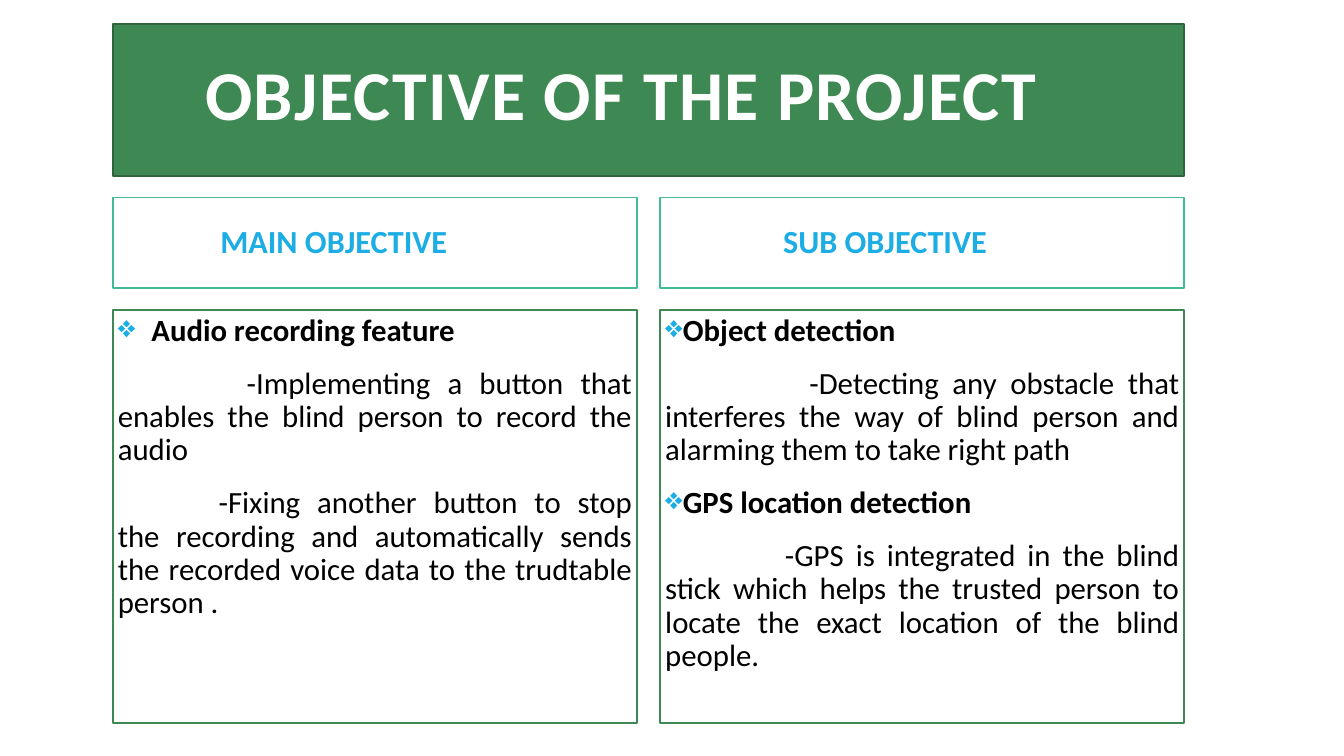
from dataclasses import dataclass

from lxml import etree
from pptx import Presentation
from pptx import util as u
from pptx.dml import color
from pptx.enum import shapes, text
from pptx.oxml import ns


@dataclass(frozen=True)
class Theme:
    font: str = "Calibri"
    green: str = "3E8853"
    dark_green: str = "2E653D"
    teal: str = "42BA97"
    blue: str = "1CADE4"
    white: str = "FFFFFF"
    black: str = "000000"
    title_size: float = 50
    heading_size: float = 23
    body_size: float = 22
    line_width: float = 1.25


class ObjectiveSlide:
    def __init__(self, slide, theme):
        self.slide = slide
        self.theme = theme

    def panel(self, box, fill, line, insets, anchor):
        panel = self.slide.shapes.add_shape(
            shapes.MSO_SHAPE.RECTANGLE, *(u.Pt(length) for length in box))
        panel.shadow.inherit = False
        panel.fill.solid()
        panel.fill.fore_color.rgb = color.RGBColor.from_string(fill)
        panel.line.color.rgb = color.RGBColor.from_string(line)
        panel.line.width = u.Pt(self.theme.line_width)
        side, edge = insets
        frame = panel.text_frame
        frame_format = {
            "word_wrap": True, "vertical_anchor": anchor,
            "margin_left": u.Pt(side), "margin_right": u.Pt(side),
            "margin_top": u.Pt(edge), "margin_bottom": u.Pt(edge),
        }
        for name, value in frame_format.items():
            setattr(frame, name, value)
        return frame

    def wording(self, paragraph, words, size, ink, bold=True, spacing=0.9,
                align=text.PP_ALIGN.LEFT, before=0, after=0, left=0, first=0):
        paragraph_format = {
            "alignment": align, "line_spacing": spacing,
            "space_before": u.Pt(before), "space_after": u.Pt(after),
        }
        for name, value in paragraph_format.items():
            setattr(paragraph, name, value)
        properties = paragraph._p.get_or_add_pPr()
        properties.set("marL", str(u.Pt(left)))
        properties.set("indent", str(u.Pt(first)))
        run = paragraph.add_run()
        run.text = words
        font_format = {"name": self.theme.font, "size": u.Pt(size), "bold": bold}
        for name, value in font_format.items():
            setattr(run.font, name, value)
        run.font.color.rgb = color.RGBColor.from_string(ink)
        return run

    def title(self, box, words, left):
        theme = self.theme
        frame = self.panel(box, theme.green, theme.dark_green, (7.2, 3.6),
                           text.MSO_ANCHOR.MIDDLE)
        run = self.wording(frame.paragraphs[0], words, theme.title_size,
                           theme.white, spacing=0.8, left=left)
        run._r.get_or_add_rPr().set("spc", "100")

    def heading(self, box, words, left):
        theme = self.theme
        frame = self.panel(box, theme.white, theme.teal, (10.8, 3.6),
                           text.MSO_ANCHOR.MIDDLE)
        self.wording(frame.paragraphs[0], words, theme.heading_size,
                     theme.blue, left=left)

    def bullet(self, paragraph):
        properties = paragraph._p.get_or_add_pPr()
        tint = etree.SubElement(properties, ns.qn("a:buClr"))
        etree.SubElement(tint, ns.qn("a:srgbClr")).set("val", self.theme.blue)
        etree.SubElement(properties, ns.qn("a:buChar")).set("char", "❖")

    def details(self, box, features, hanging):
        theme = self.theme
        frame = self.panel(box, theme.white, theme.green, (3.6, 3.6),
                           text.MSO_ANCHOR.TOP)
        paragraph = frame.paragraphs[0]
        for position, (feature, points) in enumerate(features):
            if position:
                paragraph = frame.add_paragraph()
            self.wording(paragraph, feature, theme.body_size, theme.black,
                         before=12, after=2, left=hanging, first=-hanging)
            self.bullet(paragraph)
            for first, point in points:
                self.wording(frame.add_paragraph(), point, theme.body_size,
                             theme.black, bold=False, before=12, after=2,
                             align=text.PP_ALIGN.JUSTIFY, first=first)


OBJECTIVES = [
    ("MAIN OBJECTIVE", 66, 24, [
        ("Audio recording feature", [
            (92, "-Implementing a button that enables the blind person to "
                 "record the audio"),
            (72, "-Fixing another button to stop the recording and "
                 "automatically sends the recorded voice data to the "
                 "trudtable person ."),
        ]),
    ]),
    ("SUB OBJECTIVE", 77, 7.2, [
        ("Object detection", [
            (103, "-Detecting any obstacle that interferes the way of blind "
                  "person and alarming them to take right path"),
        ]),
        ("GPS location detection", [
            (85.5, "-GPS is integrated in the blind stick which helps the "
                   "trusted person to locate the exact location of the "
                   "blind people."),
        ]),
    ]),
]


def main():
    deck = Presentation()
    deck.slide_width, deck.slide_height = u.Pt(960), u.Pt(540)
    page = ObjectiveSlide(deck.slides.add_slide(deck.slide_layouts[6]), Theme())
    margin, column_width, gutter = 80.6, 374.4, 16.6
    page.title((margin, 17.3, 2 * column_width + gutter, 108.7),
               "OBJECTIVE OF THE PROJECT", 59)
    for column, (objective, left, hanging, features) in enumerate(OBJECTIVES):
        x = margin + column * (column_width + gutter)
        page.heading((x, 141.1, column_width, 64.8), objective, left)
        page.details((x, 221.5, column_width, 295.2), features, hanging)
    deck.save("out.pptx")


if __name__ == "__main__":
    main()
